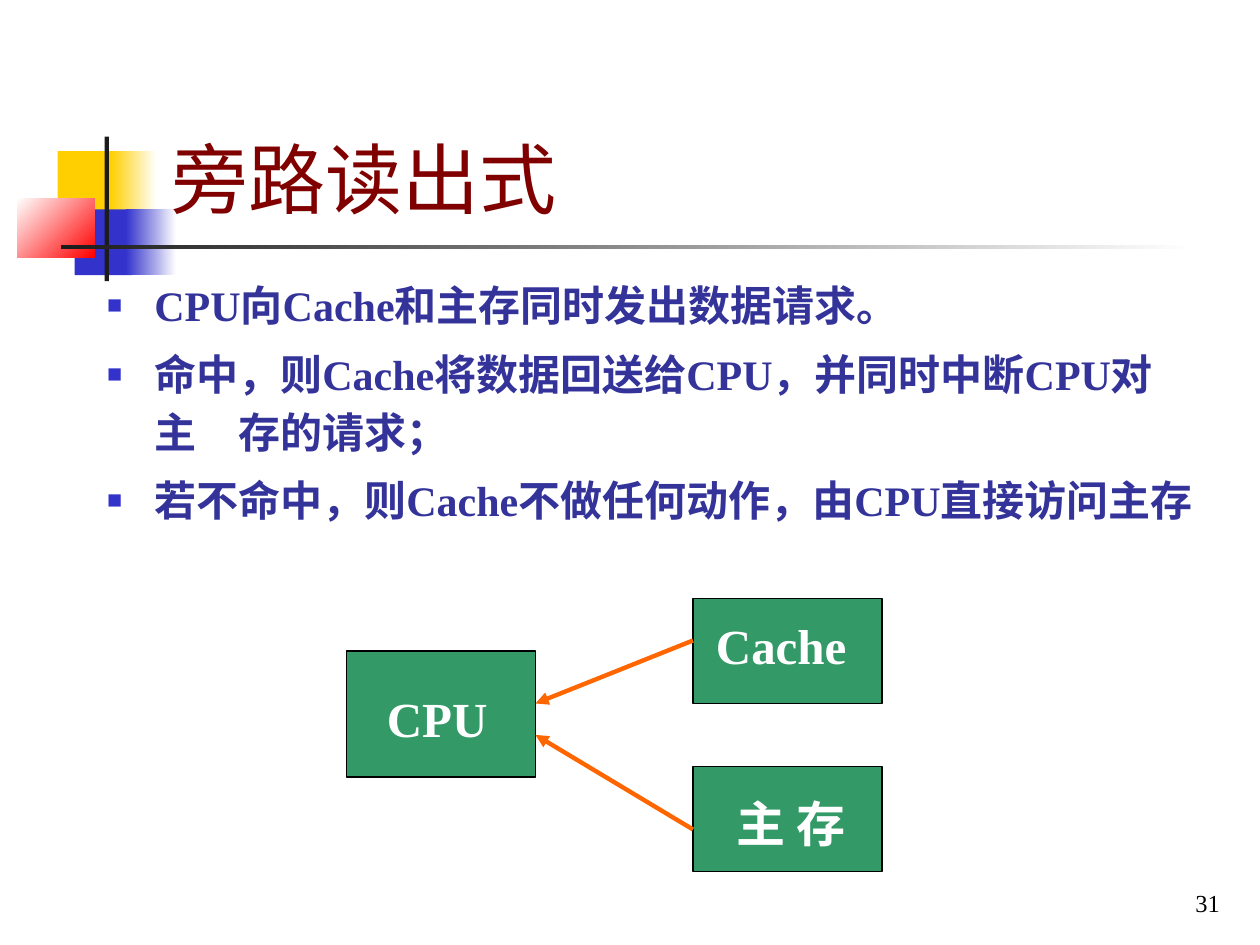
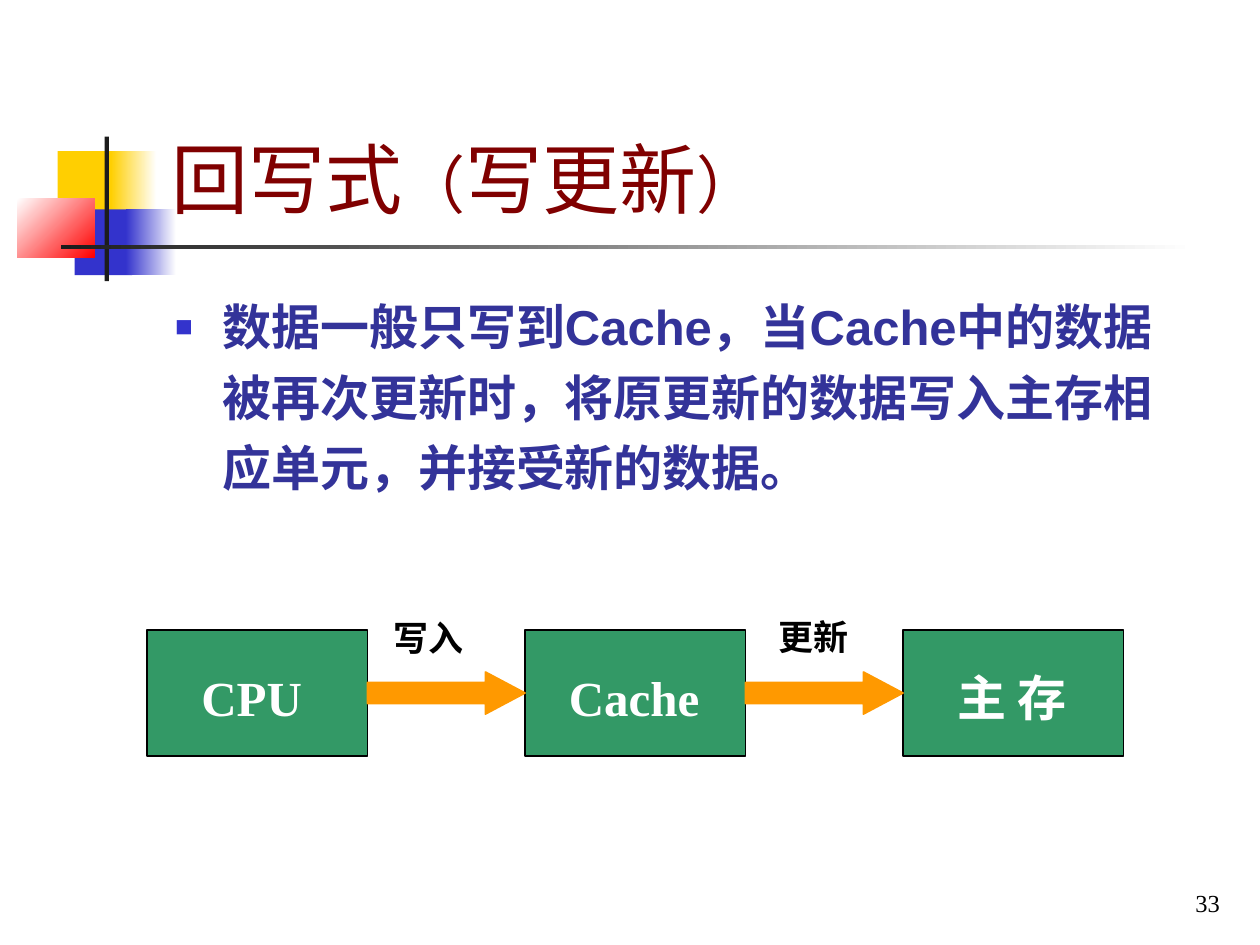
import dataclasses

import pptx
import pptx.dml.color
import pptx.enum.shapes
import pptx.enum.text
import pptx.oxml
import pptx.oxml.ns
import pptx.util

Pt = pptx.util.Pt
Preset = pptx.enum.shapes.MSO_SHAPE
Align = pptx.enum.text.PP_ALIGN
Anchor = pptx.enum.text.MSO_ANCHOR
AutoSize = pptx.enum.text.MSO_AUTO_SIZE


@dataclasses.dataclass(frozen=True)
class Theme:
    sans: str = "Arial"
    serif: str = "Times New Roman"
    white: str = "FFFFFF"
    black: str = "000000"
    charcoal: str = "1C1C1C"
    yellow: str = "FFCF01"
    blue: str = "3333CC"
    red: str = "FF0000"
    title: str = "800000"
    body: str = "333399"
    unit: str = "339966"
    reply: str = "FF6600"
    flow: str = "FF9900"
    title_size: int = 44
    bracket_size: int = 36
    unit_size: int = 28
    flow_size: int = 20
    number_size: int = 14


def rgb(color):
    return pptx.dml.color.RGBColor.from_string(color)


def place(shape, box):
    shape.left, shape.top, shape.width, shape.height = map(Pt, box)


def style_font(font, name, size, color, bold=False):
    font.name = name
    font.size = Pt(size)
    font.color.rgb = rgb(color)
    font.bold = bold


def append_xml(parent, tag, **attributes):
    child = pptx.oxml.parse_xml(f"<a:{tag} {pptx.oxml.ns.nsdecls('a')}/>")
    for key, value in attributes.items():
        child.set(key, value)
    parent.append(child)
    return child


class Deck:
    def __init__(self, theme):
        self.theme = theme
        self.presentation = pptx.Presentation()
        self.presentation.slide_width = Pt(720)
        self.presentation.slide_height = Pt(540)
        self.layout = self.presentation.slide_layouts[1]
        for footer in list(self.layout.placeholders)[2:]:
            self.layout.shapes.element.remove(footer.element)
        self.slide = None

    def start_slide(self, title_parts, number):
        theme = self.theme
        first = self.slide is None
        self.slide = self.presentation.slides.add_slide(self.layout)
        if first:
            self.add_band_to_layout()
        title = self.slide.shapes.title
        place(title, (90.72, 16.56, 613.44, 115.2))
        title.text_frame.vertical_anchor = Anchor.BOTTOM
        title.text_frame.auto_size = AutoSize.NONE
        heading = title.text_frame.paragraphs[0]
        heading.alignment = Align.LEFT
        style_font(heading.font, theme.sans, theme.title_size, theme.title)
        for text, size in title_parts:
            run = heading.add_run()
            run.text = text
            if size != theme.title_size:
                run.font.size = Pt(size)
        self.text((554.4, 491.76, 149.76, 36), number, theme.number_size,
                  theme.black, bold=False, align=Align.RIGHT,
                  anchor=Anchor.BOTTOM, fit=AutoSize.NONE)

    def add_band_to_layout(self):
        theme = self.theme
        band = [
            ((33, 86.4, 34.5, 37.5), (theme.yellow,), 0),
            ((63.4, 86.4, 26, 37.5), (theme.yellow, theme.white), 0),
            ((42.6, 119.7, 33, 37.5), (theme.blue,), 0),
            ((72, 119.7, 28.8, 37.5), (theme.blue, theme.white), 0),
            ((9.9, 113.6, 44.2, 33.6), (theme.white, theme.red), 315),
            ((59.8, 78, 2.5, 82.7), (theme.charcoal,), 0),
            ((34.9, 140.1, 648, 2.5), (theme.charcoal, theme.white), 0),
        ]
        for box, colors, angle in band:
            piece = self.block(box, *colors, angle=angle)
            self.layout.shapes.element.append(piece.element)

    def block(self, box, *colors, outline=None, preset=Preset.RECTANGLE,
              angle=0):
        shape = self.slide.shapes.add_shape(preset, *map(Pt, box))
        shape.shadow.inherit = False
        if len(colors) == 1:
            shape.fill.solid()
            shape.fill.fore_color.rgb = rgb(colors[0])
        else:
            shape.fill.gradient()
            shape.fill.gradient_angle = angle
            for stop, color in zip(shape.fill.gradient_stops, colors):
                stop.color.rgb = rgb(color)
        if outline:
            shape.line.color.rgb = rgb(outline)
            shape.line.width = Pt(1)
        else:
            shape.line.fill.background()
        return shape

    def text(self, box, words, size, color, bold=True, align=Align.LEFT,
             anchor=Anchor.TOP, fit=AutoSize.SHAPE_TO_FIT_TEXT):
        frame = self.slide.shapes.add_textbox(*map(Pt, box)).text_frame
        frame.word_wrap = True
        frame.auto_size = fit
        frame.vertical_anchor = anchor
        paragraph = frame.paragraphs[0]
        paragraph.text = words
        paragraph.alignment = align
        style_font(paragraph.font, self.theme.serif, size, color, bold)

    def bullets(self, box, points, font, size, spacing, before, after):
        body = self.slide.placeholders[1]
        place(body, box)
        frame = body.text_frame
        frame.auto_size = AutoSize.NONE
        for index, point in enumerate(points):
            paragraph = frame.add_paragraph() if index else frame.paragraphs[0]
            paragraph.text = point
            properties = paragraph._p.get_or_add_pPr()
            properties.set("marL", str(Pt(27)))
            properties.set("indent", str(-Pt(27)))
            append_xml(append_xml(properties, "buClr"), "srgbClr",
                       val=self.theme.blue)
            append_xml(properties, "buSzPct", val="60000")
            append_xml(properties, "buFont", typeface=self.theme.sans)
            append_xml(properties, "buChar", char="■")
            paragraph.line_spacing = spacing
            paragraph.space_before = Pt(before if index else 0)
            paragraph.space_after = Pt(after)
            style_font(paragraph.font, font, size, self.theme.body, True)

    def unit(self, box, label_box, name):
        self.block(box, self.theme.unit, outline=self.theme.black)
        self.text(label_box, name, self.theme.unit_size, self.theme.white)

    def reply_arrow(self, start, end):
        arrow = self.slide.shapes.add_connector(
            pptx.enum.shapes.MSO_CONNECTOR.STRAIGHT, *map(Pt, start + end))
        arrow.line.color.rgb = rgb(self.theme.reply)
        arrow.line.width = Pt(2.5)
        append_xml(arrow.line._get_or_add_ln(), "tailEnd", type="triangle")
        append_xml(arrow.element.spPr, "effectLst")

    def flow_arrow(self, box):
        arrow = self.block(box, self.theme.flow, outline=self.theme.flow,
                           preset=Preset.RIGHT_ARROW)
        arrow.adjustments[0] = 0.5
        arrow.adjustments[1] = 0.94


def build_look_aside(deck):
    theme = deck.theme
    deck.start_slide([("旁路读出式", theme.title_size)], "31")
    deck.bullets((54, 151.92, 651.6, 185.76), [
        "CPU向Cache和主存同时发出数据请求。",
        "命中，则Cache将数据回送给CPU，并同时中断CPU对主　存的请求；",
        "若不命中，则Cache不做任何动作，由CPU直接访问主存",
    ], theme.serif, 24, spacing=1.15, before=4.5, after=1.5)
    deck.unit((198, 372, 108, 72), (214, 390, 84, 41), "CPU")
    deck.unit((396, 342, 108, 60), (402, 348, 96, 41), "Cache")
    deck.unit((396, 438, 108, 60), (414, 450, 78, 41), "主 存")
    deck.reply_arrow((396, 366), (306, 402))
    deck.reply_arrow((396, 474), (306, 420))


def build_write_back(deck):
    theme = deck.theme
    deck.start_slide([
        ("回写式", theme.title_size), ("（", theme.bracket_size),
        ("写更新", theme.title_size), ("）", theme.bracket_size),
    ], "33")
    deck.bullets((92.88, 159.12, 578.88, 174.24), [
        "数据一般只写到Cache，当Cache中的数据被再次更新时，"
        "将原更新的数据写入主存相应单元，并接受新的数据。",
    ], theme.sans, 28, spacing=1.2, before=7, after=1.8)
    left, unit_width, gap = 84, 126, 90
    step = unit_width + gap
    units = [("CPU", 108, 84), ("Cache", 318, 96), ("主 存", 540, 78)]
    for index, (name, label_left, label_width) in enumerate(units):
        deck.unit((left + index * step, 360, unit_width, 72),
                  (label_left, 378, label_width, 41), name)
    flows = [("写入", 218, 349), ("更新", 438, 348)]
    for index, (action, label_left, label_top) in enumerate(flows):
        deck.flow_arrow((left + unit_width + index * step, 384, gap, 24))
        deck.text((label_left, label_top, 72, 32), action,
                  theme.flow_size, theme.black)


def main():
    deck = Deck(Theme())
    build_look_aside(deck)
    build_write_back(deck)
    deck.presentation.save("out.pptx")


if __name__ == "__main__":
    main()
